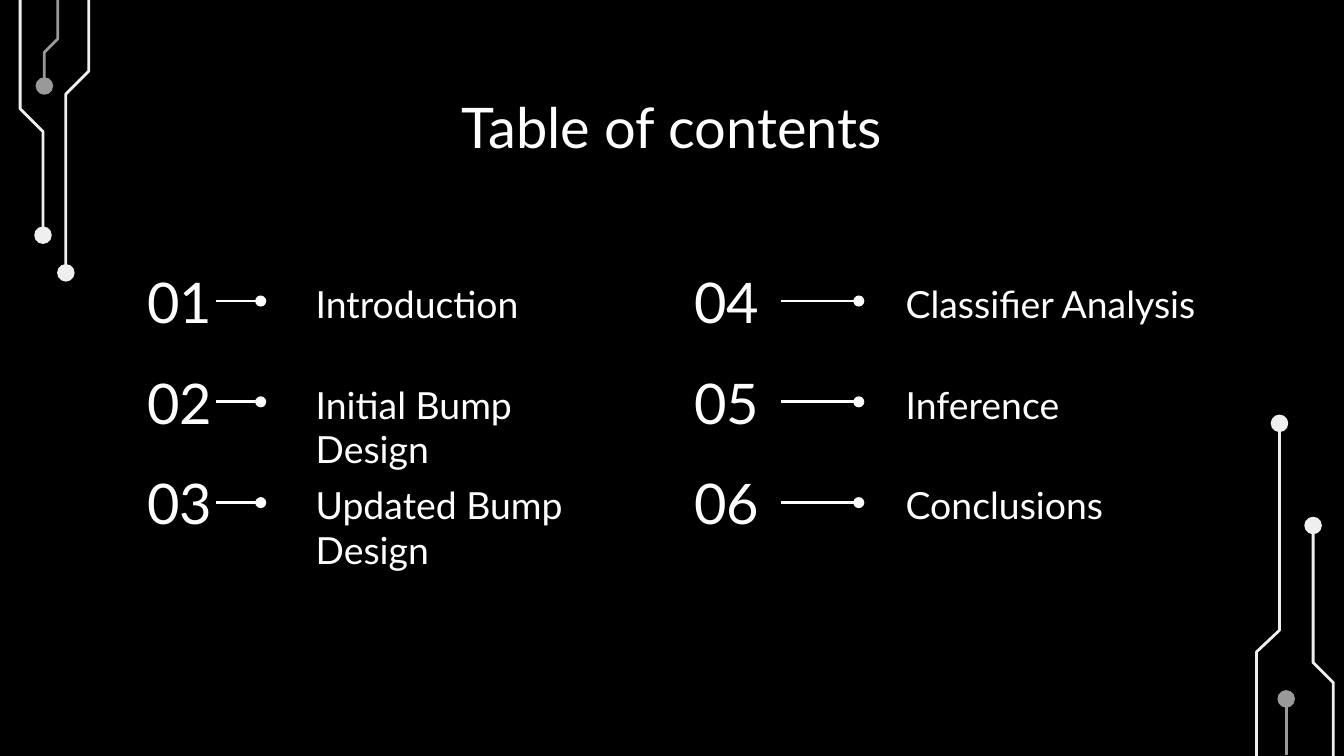
"""Build a table of contents slide with circuit traces in two corners."""
from lxml.etree import SubElement
from pptx import Presentation
from pptx.dml.color import RGBColor
from pptx.enum.shapes import MSO_CONNECTOR, MSO_SHAPE
from pptx.enum.text import MSO_ANCHOR, MSO_AUTO_SIZE, PP_ALIGN
from pptx.oxml.ns import qn
from pptx.util import Pt

PX = 9144
BLACK = RGBColor(0x00, 0x00, 0x00)
WHITE = RGBColor(0xFF, 0xFF, 0xFF)
LIGHT = RGBColor(0xEF, 0xEF, 0xEF)
GRAY = RGBColor(0x99, 0x99, 0x99)
FONT = "Lato"
DOT = 12
ROW_TOP, ROW_STEP, ROW_HEIGHT = 199, 75, 50

TRACES = [
    (LIGHT, [(15, -1), (15, 81), (32, 98), (32, 175)]),
    (GRAY, [(43, -8), (43, 29), (33, 39), (33, 64)]),
    (LIGHT, [(66, -1), (66, 53), (49, 70), (49, 203)]),
    (LIGHT, [(935, 567), (935, 485), (952, 469), (952, 315)]),
    (LIGHT, [(992, 567), (992, 508), (977, 493), (977, 391)]),
    (GRAY, [(957, 562), (957, 520)]),
]
COLUMNS = [
    (94, 161, 194, 200, 281, ["Introduction", "Initial Bump Design", "Updated Bump Design"]),
    (501, 581, 639, 639, 296, ["Classifier Analysis", "Inference", "Conclusions"]),
]


def draw_line(start, end, color):
    line = slide.shapes.add_connector(
        MSO_CONNECTOR.STRAIGHT, *(value * PX for value in (*start, *end))
    )
    line.line.color.rgb = color
    line.line.width = Pt(1.5)
    SubElement(line._element.spPr, qn("a:effectLst"))
    return line


def write_text(box, text, left, top, width, height, size, align, anchor):
    box.left, box.top, box.width, box.height = (
        value * PX for value in (left, top, width, height)
    )
    frame = box.text_frame
    frame.text = text
    frame.word_wrap = True
    frame.auto_size = MSO_AUTO_SIZE.NONE
    frame.vertical_anchor = anchor
    frame.margin_left = frame.margin_right = 10 * PX
    frame.margin_top = frame.margin_bottom = 10 * PX
    para = frame.paragraphs[0]
    para.alignment = align
    font = para.runs[0].font
    font.name = FONT
    font.size = Pt(size)
    font.color.rgb = WHITE
    return para


deck = Presentation()
deck.slide_width, deck.slide_height = 1000 * PX, 5143500
slide = deck.slides.add_slide(deck.slide_layouts[5])
slide.background.fill.solid()
slide.background.fill.fore_color.rgb = BLACK

for color, points in TRACES:
    if len(points) == 2:
        draw_line(*points, color)
    else:
        builder = slide.shapes.build_freeform(*points[0], scale=PX)
        builder.add_line_segments(points[1:], close=False)
        trace = builder.convert_to_shape()
        trace.shadow.inherit = False
        trace.fill.background()
        trace.line.color.rgb = color
        trace.line.width = Pt(1.5)
    x, y = points[-1]
    dot = slide.shapes.add_shape(
        MSO_SHAPE.OVAL, (x - DOT // 2) * PX, (y - DOT // 2) * PX, DOT * PX, DOT * PX
    )
    dot.shadow.inherit = False
    dot.fill.solid()
    dot.fill.fore_color.rgb = color
    dot.line.color.rgb = color
    dot.line.width = Pt(0.75)

write_text(slide.shapes.title, "Table of contents", 79, 59, 842, 63, 30,
           PP_ALIGN.CENTER, MSO_ANCHOR.TOP)

number = 0
for number_left, line_left, line_right, topic_left, topic_width, topics in COLUMNS:
    for row, topic in enumerate(topics):
        number += 1
        top = ROW_TOP + row * ROW_STEP
        middle = top + ROW_HEIGHT // 2
        number_box = slide.shapes.add_textbox(0, 0, 0, 0)
        write_text(number_box, f"{number:02}", number_left, top, 80, ROW_HEIGHT, 30,
                   PP_ALIGN.CENTER, MSO_ANCHOR.MIDDLE)
        topic_box = slide.shapes.add_textbox(0, 0, 0, 0)
        para = write_text(topic_box, topic, topic_left, top, topic_width, ROW_HEIGHT, 20,
                          PP_ALIGN.LEFT, MSO_ANCHOR.TOP)
        para._p.get_or_add_pPr().set("marL", str(25 * PX))
        pointer = draw_line((line_left, middle), (line_right, middle), WHITE)
        SubElement(pointer.line._get_or_add_ln(), qn("a:tailEnd"), type="oval")

deck.save("out.pptx")
